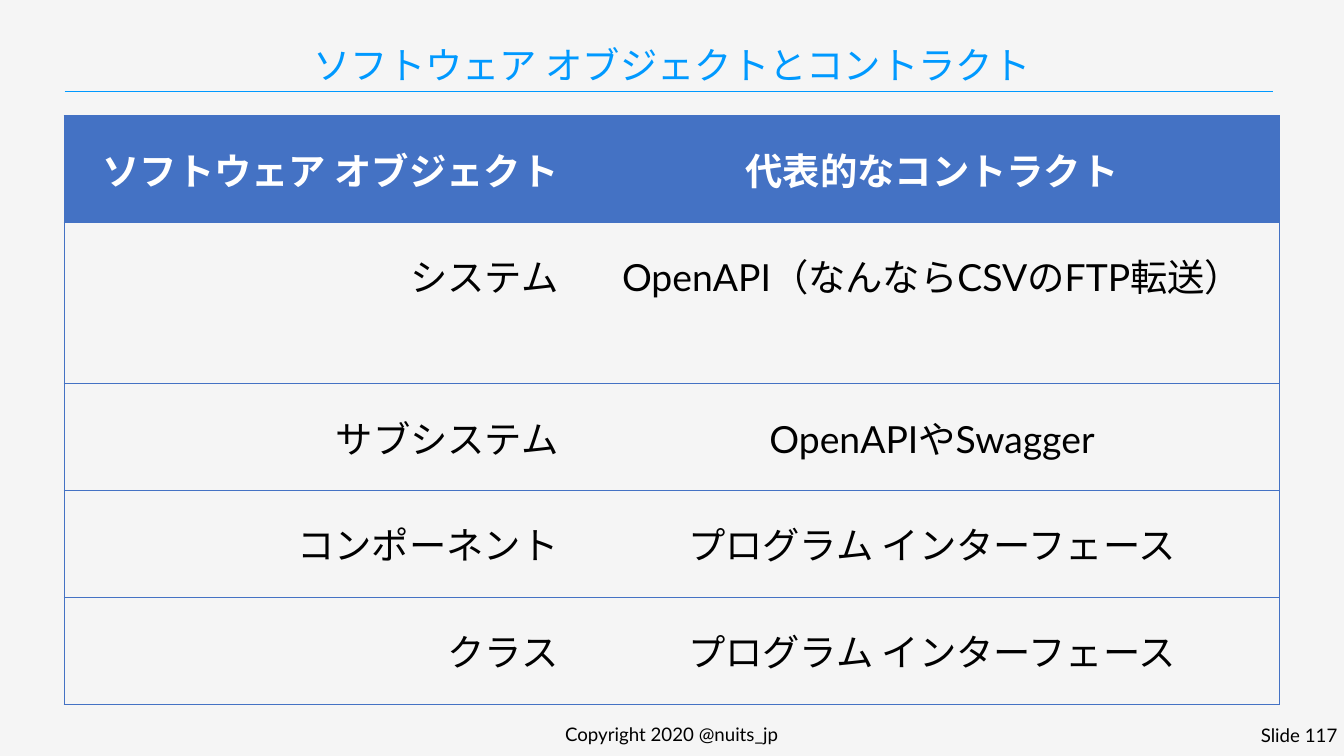
"""Build a slide with a table of software objects and their contracts."""
from lxml.etree import SubElement
from pptx import Presentation
from pptx.dml.color import RGBColor
from pptx.enum.shapes import MSO_CONNECTOR
from pptx.enum.text import MSO_ANCHOR, PP_ALIGN
from pptx.oxml.ns import qn
from pptx.util import Inches, Pt

PAPER = RGBColor(0xF5, 0xF5, 0xF5)
SKY = RGBColor(0x00, 0x99, 0xFF)
BLUE = RGBColor(0x44, 0x72, 0xC4)
WHITE = RGBColor(0xFF, 0xFF, 0xFF)
BLACK = RGBColor(0, 0, 0)
PLAIN = "{2D5ABB26-0587-4C30-8999-92F81FD0307C}"

ROWS = [
    ("ソフトウェア オブジェクト", "代表的なコントラクト"),
    ("システム", "OpenAPI（なんならCSVのFTP転送）"),
    ("サブシステム", "OpenAPIやSwagger"),
    ("コンポーネント", "プログラム インターフェース"),
    ("クラス", "プログラム インターフェース"),
]
WIDTHS = [7.75, 10.34]
HEIGHTS = [1.59, 2.4, 1.59, 1.59, 1.59]
ALIGNS = [PP_ALIGN.RIGHT, PP_ALIGN.CENTER]


def write(frame, text, size=40, color=BLACK, bold=False, align=PP_ALIGN.CENTER, space=None):
    para = frame.paragraphs[0]
    para.alignment = align
    para.line_spacing = space
    run = para.add_run()
    run.text = text
    font = run.font
    font.name, font.size, font.bold = "Lato", Pt(size), bold
    font.color.rgb = color


class Deck:
    """Hold the style and the current slide."""

    def __init__(self):
        self.show = Presentation()
        self.show.slide_width, self.show.slide_height = Inches(20), Inches(11.25)
        self.slide = self.show.slides.add_slide(self.show.slide_layouts[6])
        fill = self.slide.background.fill
        fill.solid()
        fill.fore_color.rgb = PAPER
        self.pad = Inches(0.39)
        self.thin = Pt(0.5)

    def text(self, left, top, width, height, text, anchor=MSO_ANCHOR.MIDDLE, **style):
        box = self.slide.shapes.add_textbox(Inches(left), Inches(top), Inches(width), Inches(height))
        frame = box.text_frame
        frame.word_wrap = True
        frame.vertical_anchor = anchor
        write(frame, text, **style)

    def rule(self, left, right, top):
        line = self.slide.shapes.add_connector(
            MSO_CONNECTOR.STRAIGHT, Inches(left), Inches(top), Inches(right), Inches(top))
        line.line.color.rgb = SKY
        line.line.width = self.thin
        SubElement(line._element.spPr, qn("a:effectLst"))

    def edge(self, cell, side):
        line = SubElement(cell._tc.get_or_add_tcPr(), qn("a:ln" + side), w=str(self.thin))
        fill = SubElement(line, qn("a:solidFill"))
        SubElement(fill, qn("a:srgbClr"), val=str(BLUE))

    def cell(self, cell, text, head, sides, align):
        cell.margin_left = cell.margin_right = cell.margin_top = cell.margin_bottom = self.pad
        for side in sides:
            self.edge(cell, side)
        if head:
            cell.fill.solid()
            cell.fill.fore_color.rgb = BLUE
        else:
            cell.fill.background()
        write(cell.text_frame, text, color=WHITE if head else BLACK, bold=head, align=align)

    def table(self, left, top):
        grid = self.slide.shapes.add_table(
            len(ROWS), len(WIDTHS), Inches(left), Inches(top),
            Inches(sum(WIDTHS)), Inches(sum(HEIGHTS))).table
        grid._tbl.tblPr.find(qn("a:tableStyleId")).text = PLAIN
        grid.horz_banding = False
        for col, width in zip(grid.columns, WIDTHS):
            col.width = Inches(width)
        for r, (row, height) in enumerate(zip(ROWS, HEIGHTS)):
            grid.rows[r].height = Inches(height)
            for c, text in enumerate(row):
                self.cell(grid.cell(r, c), text, r == 0, "LTB" if c == 0 else "RTB", ALIGNS[c])


def main():
    deck = Deck()
    deck.text(6.62, 10.74, 6.75, 0.38, "Copyright 2020 @nuits_jp", size=20)
    deck.text(18.28, 10.75, 1.72, 0.37, "Slide 117", size=20, align=PP_ALIGN.RIGHT)
    deck.rule(0.96, 18.94, 1.36)
    deck.table(0.95, 1.72)
    deck.text(0.35, 0.51, 19.3, 0.84, "ソフトウェア オブジェクトとコントラクト",
              anchor=MSO_ANCHOR.BOTTOM, color=SKY, space=0.9)
    deck.show.save("out.pptx")


if __name__ == "__main__":
    main()
